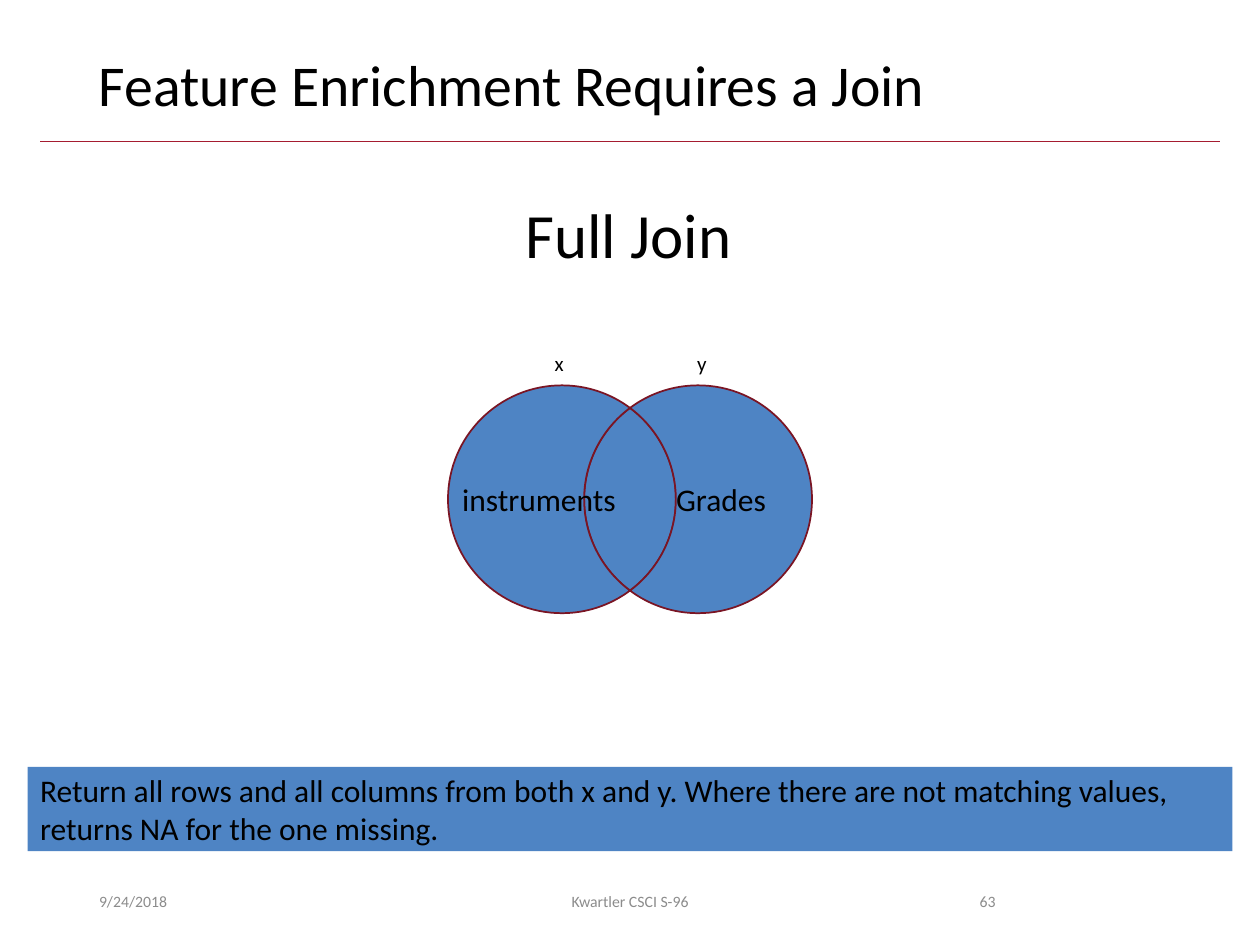
import math

from lxml import etree
from pptx import Presentation
from pptx.dml.color import RGBColor
from pptx.enum.shapes import MSO_CONNECTOR, MSO_SHAPE
from pptx.enum.text import MSO_ANCHOR, PP_ALIGN
from pptx.oxml.ns import qn
from pptx.util import Pt

LEFT, CENTER, RIGHT = PP_ALIGN.LEFT, PP_ALIGN.CENTER, PP_ALIGN.RIGHT
TOP, MIDDLE = MSO_ANCHOR.TOP, MSO_ANCHOR.MIDDLE

FONT = "Calibri"
BLACK = RGBColor(0x00, 0x00, 0x00)
GRAY = RGBColor(0x8C, 0x8C, 0x8C)
BLUE = RGBColor(0x4E, 0x84, 0xC4)
CRIMSON = RGBColor(0xA5, 0x1C, 0x30)
DARK_RED = RGBColor(0x7A, 0x15, 0x24)

# Content
TITLE = "Feature Enrichment Requires a Join"
JOIN_NAME = "Full Join"
SET_NAMES = ("instruments", "Grades")
SET_LABELS = (("x", 309.8), ("y", 391.2))  # text, left
EXPLANATION = ("Return all rows and all columns from both x and y. "
               "Where there are not matching values, returns NA for the one missing.")
FOOTERS = (  # text, left, width, alignment
    ("9/24/2018", 49.5, 162, LEFT),
    ("Kwartler CSCI S-96", 238.5, 243, CENTER),
    ("63", 508.3, 67.7, RIGHT),
)

# Venn geometry
MIDDLE_X, MIDDLE_Y = 360, 285.3
RADIUS, OFFSET = 65.1, 38.9
LEFT_X, RIGHT_X = MIDDLE_X - OFFSET, MIDDLE_X + OFFSET
CROSSING = math.degrees(math.acos(OFFSET / RADIUS))

prs = Presentation()
prs.slide_width, prs.slide_height = Pt(720), Pt(540)
slide = prs.slides.add_slide(prs.slide_layouts[6])
shapes = slide.shapes


def write(shape, text, size, color=BLACK, align=LEFT, anchor=TOP, wrap=True):
    frame = shape.text_frame
    frame.text = text
    frame.word_wrap = wrap
    frame.vertical_anchor = anchor
    paragraph = frame.paragraphs[0]
    paragraph.alignment = align
    font = paragraph.runs[0].font
    font.name, font.size, font.color.rgb = FONT, Pt(size), color
    return paragraph


def add_text(text, left, top, width, height, size, **style):
    box = shapes.add_textbox(Pt(left), Pt(top), Pt(width), Pt(height))
    return write(box, text, size, **style)


def curves(center_x, start, end):
    """Bezier points of an arc, cut at each quarter; degrees run clockwise."""
    quarters = [q for q in range(-360, 721, 90) if min(start, end) < q < max(start, end)]
    stops = [start, *sorted(quarters, reverse=end < start), end]
    for first, last in zip(stops, stops[1:]):
        a, b = math.radians(first), math.radians(last)
        pull = 4 / 3 * math.tan((b - a) / 4)
        units = ((math.cos(a), math.sin(a)),
                 (math.cos(a) - pull * math.sin(a), math.sin(a) + pull * math.cos(a)),
                 (math.cos(b) + pull * math.sin(b), math.sin(b) - pull * math.cos(b)),
                 (math.cos(b), math.sin(b)))
        yield [(Pt(center_x + RADIUS * x), Pt(MIDDLE_Y + RADIUS * y)) for x, y in units]


def add_region(*arcs):
    pieces = [piece for arc in arcs for piece in curves(*arc)]
    builder = shapes.build_freeform(*pieces[0][0], scale=1.0)
    builder.add_line_segments([piece[-1] for piece in pieces], close=True)
    region = builder.convert_to_shape()
    # Bend each straight segment into its curve
    segments = list(region._element.iter(qn("a:lnTo")))
    for segment, piece in zip(segments, pieces):
        curve = etree.Element(qn("a:cubicBezTo"))
        for x, y in piece[1:]:
            etree.SubElement(curve, qn("a:pt"), x=str(x - region.left), y=str(y - region.top))
        segment.getparent().replace(segment, curve)
    region.shadow.inherit = False
    region.fill.solid()
    region.fill.fore_color.rgb = BLUE
    region.line.color.rgb = DARK_RED
    region.line.width = Pt(1)
    return region


# Title and rule
rule = shapes.add_connector(MSO_CONNECTOR.STRAIGHT, Pt(23), Pt(80.6), Pt(697), Pt(80.6))
rule.line.color.rgb = CRIMSON
rule.line.width = Pt(0.5)
etree.SubElement(rule._element.spPr, qn("a:effectLst"))
title = add_text(TITLE, 49.5, 28.8, 621, 46.8, 33)
title.line_spacing = 0.9

# Footer
for text, left, width, align in FOOTERS:
    add_text(text, left, 500.4, width, 28.8, 9, color=GRAY, align=align, anchor=MIDDLE)

# Explanation band
band = shapes.add_shape(MSO_SHAPE.RECTANGLE, Pt(15.8), Pt(438.3), Pt(688.4), Pt(48.2))
band.shadow.inherit = False
band.fill.solid()
band.fill.fore_color.rgb = BLUE
band.line.fill.background()
write(band, EXPLANATION, 18, anchor=MIDDLE)

# Venn diagram: overlap, then the two crescents
add_region((RIGHT_X, 180 - CROSSING, 180 + CROSSING), (LEFT_X, -CROSSING, CROSSING))
crescents = (
    add_region((LEFT_X, CROSSING, 360 - CROSSING),
               (RIGHT_X, 180 + CROSSING, 180 - CROSSING)),
    add_region((RIGHT_X, 180 + CROSSING, 540 - CROSSING),
               (LEFT_X, CROSSING, -CROSSING)),
)
for crescent, name in zip(crescents, SET_NAMES):
    write(crescent, name, 18, align=CENTER, anchor=MIDDLE)
    crescent.text_frame.margin_left = crescent.text_frame.margin_right = 0
for label, left in SET_LABELS:
    add_text(label, left, 196.6, 20.2, 21.6, 12, wrap=False)

# Join name
add_text(JOIN_NAME, 293.2, 108, 133.2, 51.1, 36, wrap=False)

prs.save("out.pptx")
